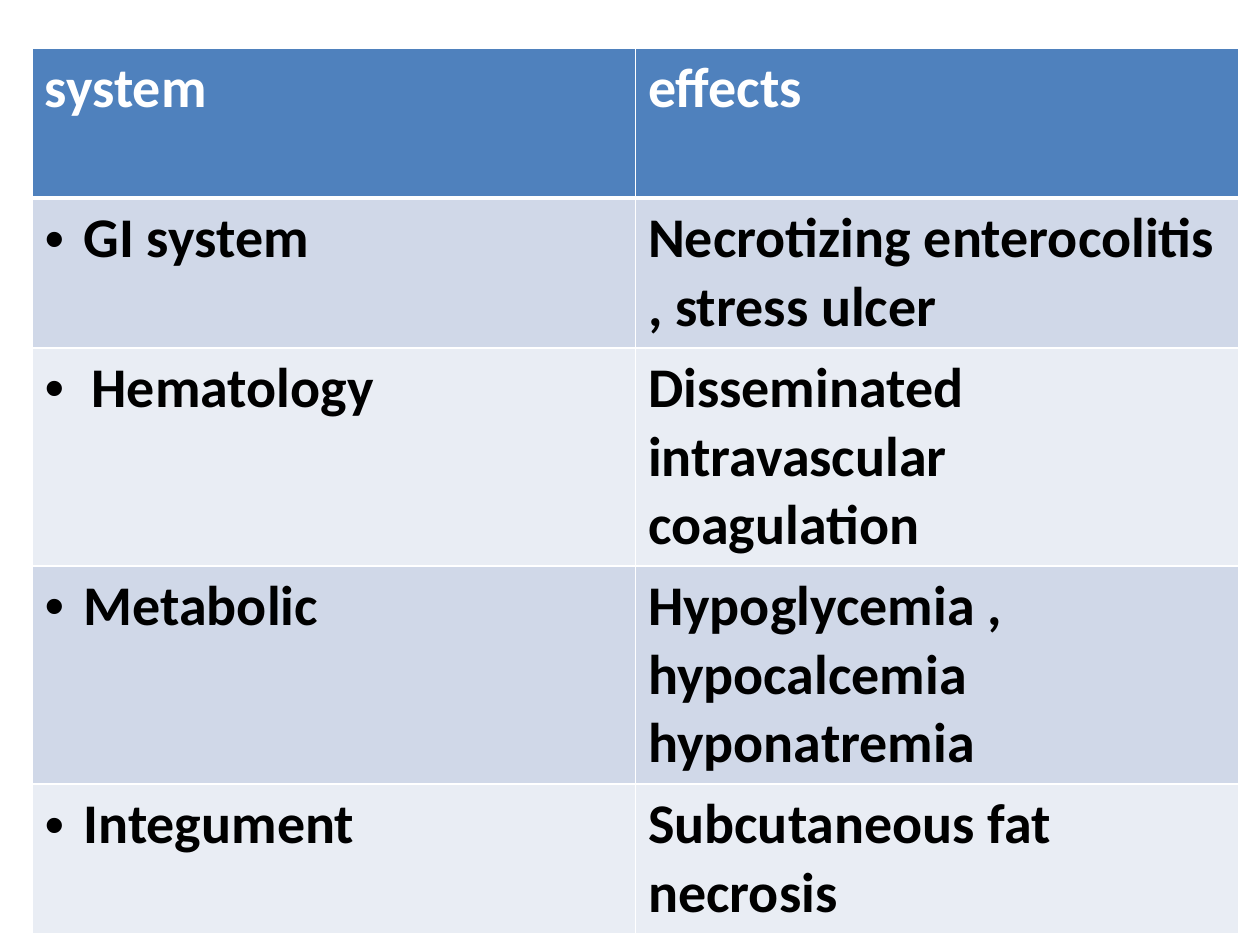
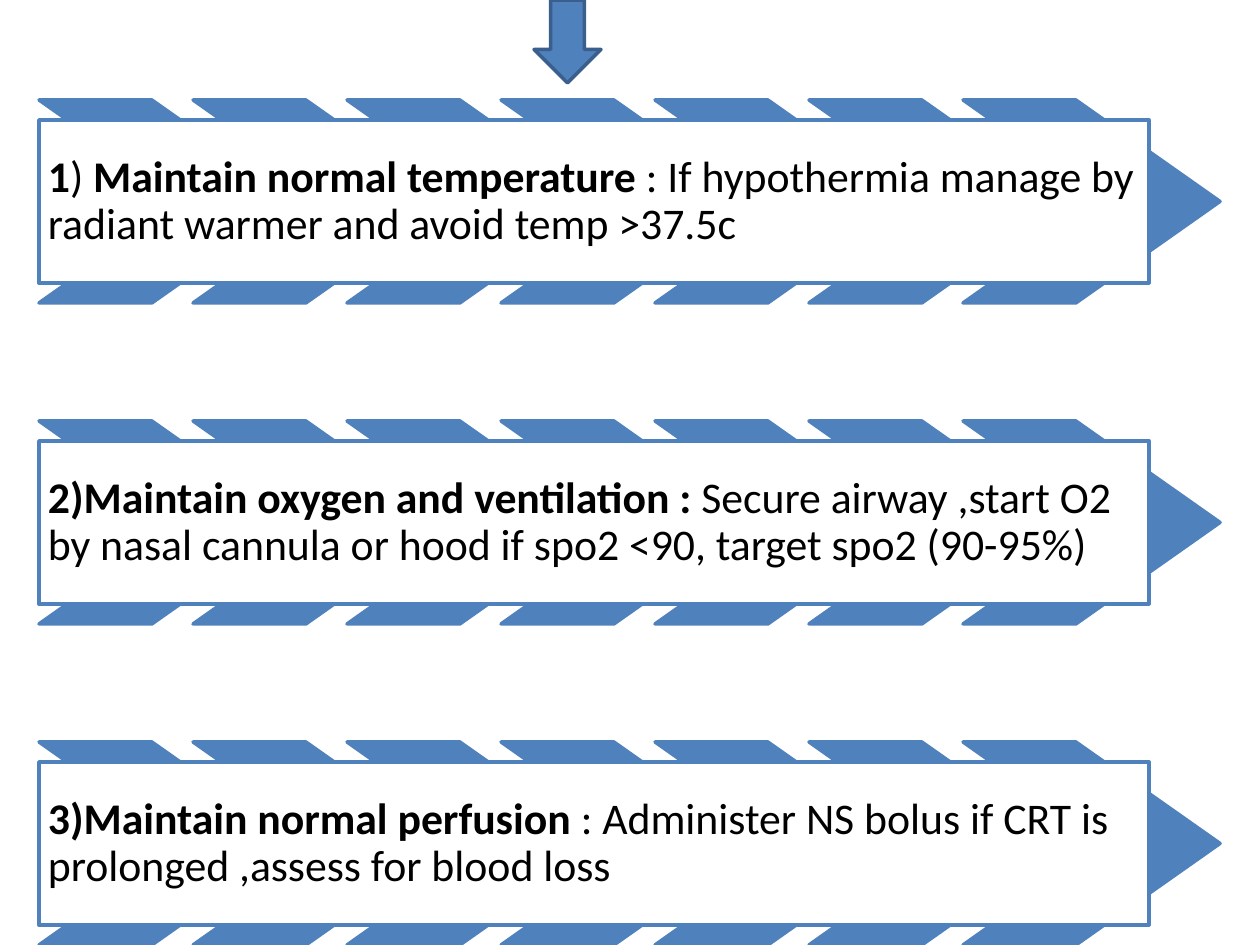
from lxml.etree import SubElement
from pptx import Presentation
from pptx.dml.color import RGBColor
from pptx.enum.shapes import MSO_SHAPE
from pptx.enum.text import MSO_ANCHOR, PP_ALIGN
from pptx.oxml.ns import qn
from pptx.util import Emu, Pt

BLUE = RGBColor(0x4F, 0x81, 0xBD)
DARK_BLUE = RGBColor(0x3A, 0x5F, 0x8C)
BAND_DARK = RGBColor(0xD0, 0xD8, 0xE8)
BAND_LIGHT = RGBColor(0xE9, 0xED, 0xF4)
WHITE = RGBColor(0xFF, 0xFF, 0xFF)
BLACK = RGBColor(0, 0, 0)
FONT = "Calibri"
PX_PER_INCH = 126
BLANK_LAYOUT = 6

EFFECTS = [
    ("system", "effects"),
    ("GI system", "Necrotizing enterocolitis , stress ulcer"),
    ("Hematology", "Disseminated intravascular coagulation"),
    ("Metabolic", "Hypoglycemia , hypocalcemia hyponatremia"),
    ("Integument", "Subcutaneous fat necrosis"),
]
ROW_HEIGHTS = [150, 150, 208, 208, 150]
BULLET_INDENT = 39
WIDE_INDENTS = {"Hematology": 47}

# Each step is a list of (text, bold) runs.
STEPS = [
    [("1", True), (") ", False), ("Maintain normal temperature ", True),
     (": If hypothermia manage by radiant warmer and avoid temp >37.5c", False)],
    [("2)Maintain oxygen and ventilation : ", True),
     ("Secure airway ,start O2 by nasal cannula or hood if spo2 <90, "
      "target spo2 (90-95%)", False)],
    [("3)Maintain normal perfusion ", True),
     (": Administer NS bolus if CRT is prolonged ,assess for blood loss", False)],
]
STEP_PITCH = 321
CHEVRON_COUNT = 7
CHEVRON_PITCH = 154


def px(length):
    return Emu(round(length * 914400 / PX_PER_INCH))


def write(frame, runs, size, color=BLACK, spacing=None, indent=0):
    """Fill the frame's paragraph with (text, bold) runs; an indent adds a bullet."""
    paragraph = frame.paragraphs[0]
    paragraph.alignment = PP_ALIGN.LEFT
    if spacing:
        paragraph.line_spacing = spacing
    if indent:
        properties = paragraph._p.get_or_add_pPr()
        properties.set("marL", str(px(indent)))
        properties.set("indent", str(-px(indent)))
        SubElement(properties, qn("a:buFont"), typeface="Arial")
        SubElement(properties, qn("a:buChar"), char="•")
    for text, bold in runs:
        run = paragraph.add_run()
        run.text = text
        run.font.name = FONT
        run.font.size = Pt(size)
        run.font.bold = bold
        run.font.color.rgb = color


def add_block(shapes, kind, box, fill, line):
    block = shapes.add_shape(kind, *map(px, box))
    block.shadow.inherit = False
    block.fill.solid()
    block.fill.fore_color.rgb = fill
    block.line.color.rgb = line
    block.line.width = Pt(2)
    return block


def set_borders(cell, bottom):
    """White cell borders, 1 pt except for the bottom one."""
    properties = cell._tc.get_or_add_tcPr()
    for side, width in (("L", 1), ("R", 1), ("T", 1), ("B", bottom)):
        border = SubElement(properties, qn(f"a:ln{side}"), w=str(Pt(width)))
        fill = SubElement(border, qn("a:solidFill"))
        SubElement(fill, qn("a:srgbClr"), val=str(WHITE))


def add_effects_table(slide, left, top, width):
    table = slide.shapes.add_table(
        len(EFFECTS), 2, px(left), px(top), px(width), px(sum(ROW_HEIGHTS))).table
    for column in table.columns:
        column.width = px(width / 2)
    for number, (entry, height) in enumerate(zip(EFFECTS, ROW_HEIGHTS)):
        header = number == 0
        band = BLUE if header else BAND_DARK if number % 2 else BAND_LIGHT
        table.rows[number].height = px(height)
        for column, text in enumerate(entry):
            cell = table.cell(number, column)
            set_borders(cell, bottom=3 if header else 1)
            cell.fill.solid()
            cell.fill.fore_color.rgb = band
            bulleted = not header and column == 0
            write(cell.text_frame, [(text, True)], size=32,
                  color=WHITE if header else BLACK,
                  indent=WIDE_INDENTS.get(text, BULLET_INDENT) if bulleted else 0)


def add_step(slide, runs, left, top):
    """A text panel over a row of chevrons."""
    shapes = slide.shapes.add_group_shape().shapes
    for number in range(CHEVRON_COUNT):
        chevron = add_block(shapes, MSO_SHAPE.CHEVRON,
                            (left + number * CHEVRON_PITCH, top, 257, 203), BLUE, BLUE)
        chevron.adjustments[0] = 0.71
    panel = add_block(shapes, MSO_SHAPE.RECTANGLE,
                      (left, top + 20, 1110, 163), WHITE, BLUE)
    frame = panel.text_frame
    frame.word_wrap = True
    frame.vertical_anchor = MSO_ANCHOR.MIDDLE
    frame.margin_left = frame.margin_right = px(9)
    frame.margin_top = frame.margin_bottom = px(9)
    write(frame, runs, size=25, spacing=0.9)


def add_management_steps(slide, left, top):
    for number, runs in enumerate(STEPS):
        add_step(slide, runs, left, top + number * STEP_PITCH)
    add_block(slide.shapes, MSO_SHAPE.DOWN_ARROW, (534, 0, 67, 83), BLUE, DARK_BLUE)


def main():
    deck = Presentation()
    deck.slide_width, deck.slide_height = px(1260), px(945)
    layout = deck.slide_layouts[BLANK_LAYOUT]
    add_effects_table(deck.slides.add_slide(layout), left=32, top=48, width=1207)
    add_management_steps(deck.slides.add_slide(layout), left=39, top=100)
    deck.save("out.pptx")


if __name__ == "__main__":
    main()
